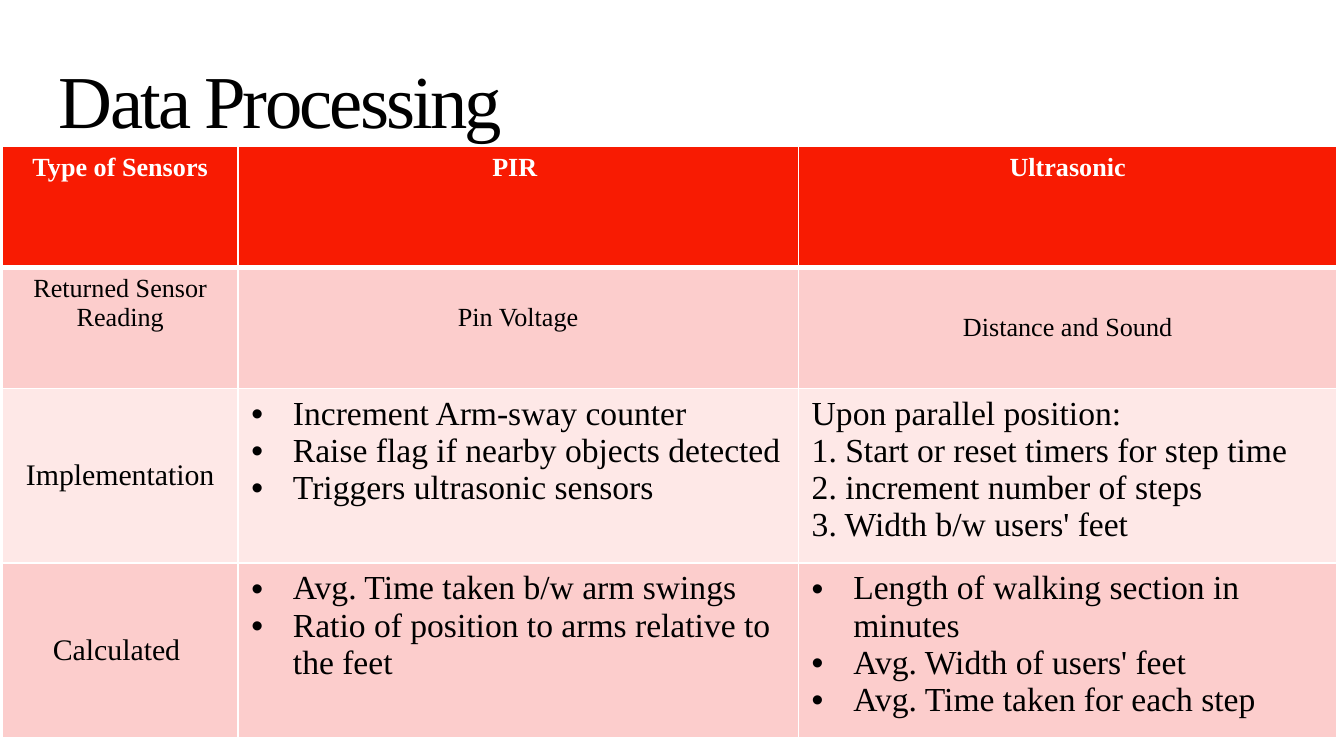
from lxml import etree
from pptx import Presentation
from pptx.dml.color import RGBColor
from pptx.enum.text import MSO_ANCHOR, PP_ALIGN
from pptx.oxml.ns import qn
from pptx.util import Inches, Pt

CENTER, LEFT = PP_ALIGN.CENTER, PP_ALIGN.LEFT
TOP, MIDDLE, BOTTOM = MSO_ANCHOR.TOP, MSO_ANCHOR.MIDDLE, MSO_ANCHOR.BOTTOM

FONT = "Times New Roman"
BLACK, WHITE = "000000", "FFFFFF"
RED, PINK, PALE_PINK = "F81B02", "FCCDCC", "FEE8E7"

COLUMN_WIDTHS = [1.75, 4.17, 4.01]
ROW_HEIGHTS = [0.9, 0.9, 1.19, 1.19]
ROW_FILLS = [RED, PINK, PALE_PINK, PINK]

# Each cell: lines, size, alignment, anchor, bulleted
CELLS = [
    [
        (["Type of Sensors"], 14, CENTER, TOP, False),
        (["PIR "], 14, CENTER, TOP, False),
        (["Ultrasonic"], 14, CENTER, TOP, False),
    ],
    [
        (["Returned Sensor Reading"], 14, CENTER, TOP, False),
        (["Pin Voltage"], 14, CENTER, TOP, False),
        (["Distance and Sound"], 14, CENTER, MIDDLE, False),
    ],
    [
        (["Implementation"], 16, CENTER, MIDDLE, False),
        (["Increment Arm-sway counter",
          "Raise flag if nearby objects detected",
          "Triggers ultrasonic sensors"], 18, LEFT, TOP, True),
        (["Upon parallel position:",
          "1. Start or reset timers for step time",
          "2. increment number of steps",
          "3. Width b/w users' feet"], 18, LEFT, TOP, False),
    ],
    [
        (["Calculated "], 16, CENTER, MIDDLE, False),
        (["Avg. Time taken b/w arm swings",
          "Ratio of position to arms relative to the feet"], 18, LEFT, TOP, True),
        (["Length of walking section in minutes",
          "Avg. Width of users' feet",
          "Avg. Time taken for each step"], 18, LEFT, TOP, True),
    ],
]


def rgb(value):
    return RGBColor.from_string(value)


def style_font(font, size, color, bold=False):
    font.name = FONT
    font.size = Pt(size)
    font.bold = bold
    font.color.rgb = rgb(color)


def add_bullet(paragraph):
    properties = paragraph._p.get_or_add_pPr()
    properties.set("marL", str(Inches(0.31)))
    properties.set("indent", str(-Inches(0.31)))
    bullet_color = etree.SubElement(properties, qn("a:buClr"))
    etree.SubElement(bullet_color, qn("a:srgbClr"), val=BLACK)
    etree.SubElement(properties, qn("a:buFont"), typeface="Arial")
    etree.SubElement(properties, qn("a:buChar"), char="•")


def add_borders(cell, top, bottom):
    """Draw white borders; must run before the cell gets its fill."""
    properties = cell._tc.get_or_add_tcPr()
    for side, width in (("L", 1), ("R", 1), ("T", top), ("B", bottom)):
        line = etree.SubElement(properties, qn(f"a:ln{side}"), w=str(Pt(width)))
        fill = etree.SubElement(line, qn("a:solidFill"))
        etree.SubElement(fill, qn("a:srgbClr"), val=WHITE)


def fill_cell(cell, content, color, bold):
    lines, size, alignment, anchor, bulleted = content
    cell.text_frame.text = "\n".join(lines)
    cell.vertical_anchor = anchor
    for paragraph in cell.text_frame.paragraphs:
        paragraph.alignment = alignment
        if bulleted:
            add_bullet(paragraph)
        for run in paragraph.runs:
            style_font(run.font, size, color, bold)


def add_title(slide, text):
    box = slide.shapes.add_textbox(Inches(0.34), Inches(0.49), Inches(9.32), Inches(0.63))
    frame = box.text_frame
    frame.word_wrap = True
    frame.vertical_anchor = BOTTOM
    frame.text = text
    title = frame.paragraphs[0]
    title.line_spacing = 0.85
    style_font(title.runs[0].font, 40, BLACK)
    title.runs[0]._r.get_or_add_rPr().set("spc", "-150")


def add_sensor_table(slide):
    frame = slide.shapes.add_table(
        len(ROW_HEIGHTS), len(COLUMN_WIDTHS), Inches(0.02), Inches(1.09),
        Inches(sum(COLUMN_WIDTHS)), Inches(sum(ROW_HEIGHTS)))
    table = frame.table
    for column, width in zip(table.columns, COLUMN_WIDTHS):
        column.width = Inches(width)
    for index, (row, height) in enumerate(zip(table.rows, ROW_HEIGHTS)):
        row.height = Inches(height)
        header = index == 0
        for cell, content in zip(row.cells, CELLS[index]):
            add_borders(cell, 3 if index == 1 else 1, 3 if header else 1)
            cell.fill.solid()
            cell.fill.fore_color.rgb = rgb(ROW_FILLS[index])
            fill_cell(cell, content, WHITE if header else BLACK, header)
    # The PIR reading sits one line lower than its row label
    table.cell(1, 1).margin_top = Inches(0.27)
    frame.height = Inches(4.6)


def main():
    presentation = Presentation()
    presentation.slide_width = Inches(10)
    # A 16:9 page
    presentation.slide_height = Inches(10 * 9 / 16)
    slide = presentation.slides.add_slide(presentation.slide_layouts[6])
    add_title(slide, "Data Processing")
    add_sensor_table(slide)
    presentation.save("out.pptx")


if __name__ == "__main__":
    main()
